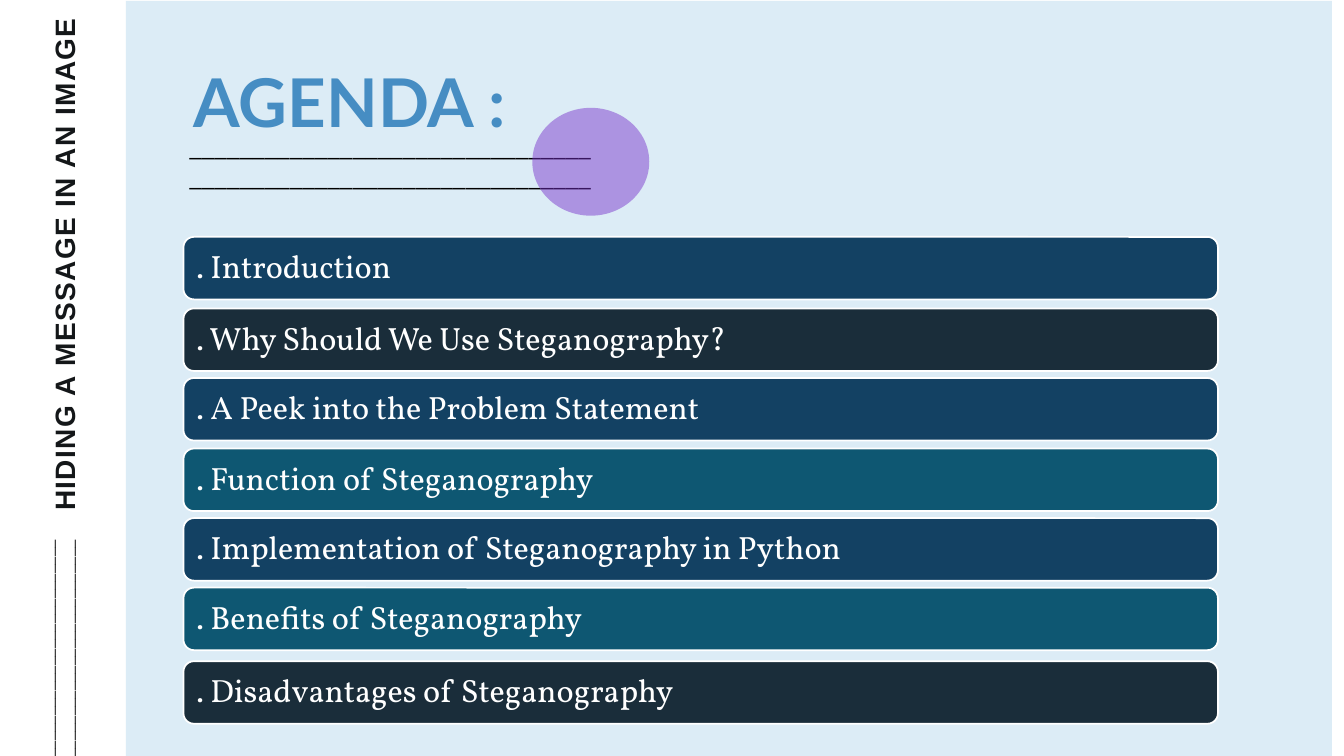
from lxml import etree
from pptx import Presentation
from pptx.dml.color import RGBColor
from pptx.enum.shapes import MSO_SHAPE as Shape
from pptx.enum.text import MSO_ANCHOR as Anchor, PP_ALIGN as Align
from pptx.oxml.ns import qn
from pptx.util import Inches, Pt

COLORS = {
    "panel": "DCECF6", "title": "468DC3", "side": "141719", "black": "000000",
    "circle": "7730CA", "white": "FFFFFF",
    "blue": "134163", "dark": "1A2D3A", "teal": "0E5772",
}
TITLE = "AGENDA :"
SIDE_TITLE = "HIDING A MESSAGE IN AN IMAGE"
SIDE_RULES = ["_" * 26] * 2
TITLE_RULES = ["_" * 64]
AGENDA = [
    (". Introduction", "blue", 2.35),
    (". Why Should We Use Steganography?", "dark", 3.06),
    (". A Peek into the Problem Statement", "blue", 3.75),
    (". Function of Steganography", "teal", 4.45),
    (". Implementation of Steganography in Python", "blue", 5.14),
    (". Benefits of Steganography", "teal", 5.83),
    (". Disadvantages of Steganography", "dark", 6.56),
]


def rgb(name):
    return RGBColor.from_string(COLORS[name])


def write(sp, lines, color, size, name, bold=False, align=Align.LEFT,
          anchor=Anchor.TOP, inset=(0.1, 0.05)):
    tf = sp.text_frame
    dx, dy = (Inches(v) for v in inset)
    frame = {"word_wrap": True, "vertical_anchor": anchor, "margin_left": dx,
             "margin_right": dx, "margin_top": dy, "margin_bottom": dy}
    for key, value in frame.items():
        setattr(tf, key, value)
    tf.text = "\n".join(lines)
    font = {"size": Pt(size), "name": name, "bold": bold}
    for p in tf.paragraphs:
        p.alignment = align
        for r in p.runs:
            for key, value in font.items():
                setattr(r.font, key, value)
            r.font.color.rgb = rgb(color)
    return tf


def add_shape(s, kind, box, fill):
    sp = s.shapes.add_shape(kind, *map(Inches, box))
    sp.shadow.inherit = False
    sp.fill.solid()
    sp.fill.fore_color.rgb = rgb(fill)
    sp.line.fill.background()
    return sp


def add_text(s, box, rotation=0, **style):
    sp = s.shapes.add_textbox(*map(Inches, box))
    sp.rotation = rotation
    return write(sp, **style)


def main():
    prs = Presentation()
    prs.slide_width, prs.slide_height = Inches(13.33), Inches(7.5)
    s = prs.slides.add_slide(prs.slide_layouts[5])

    panel = add_shape(s, Shape.RECTANGLE, (1.25, 0.01, 11.96, 7.49), "panel")
    title = s.shapes.title
    title.left, title.top, title.width, title.height = map(
        Inches, (1.92, 0.6, 3.62, 0.81))
    title._element.addprevious(panel._element)
    write(title, [TITLE], "title", 48, "Lato", bold=True, inset=(0, 0))

    tf = add_text(s, (-2.47, 2.06, 6.21, 1.13), 270, lines=[SIDE_TITLE],
                  color="side", size=20, name="Arial", bold=True,
                  align=Align.CENTER, anchor=Anchor.MIDDLE)
    tf.paragraphs[0].runs[0].font._element.set("spc", "100")
    add_text(s, (-2.54, 4.26, 6.21, 0.5), 270, lines=SIDE_RULES,
             color="black", size=12, name="Calibri")
    add_text(s, (1.78, 1.25, 4.27, 0.71), lines=TITLE_RULES,
             color="black", size=18, name="Calibri")

    circle = add_shape(s, Shape.OVAL, (5.28, 1.07, 1.16, 1.07), "circle")
    tint = circle._element.spPr.find(qn("a:solidFill"))[0]
    etree.SubElement(tint, qn("a:alpha")).set("val", "47000")

    for text, fill, top in AGENDA:
        bar = add_shape(s, Shape.ROUNDED_RECTANGLE, (1.82, top, 10.26, 0.62), fill)
        bar.line.color.rgb = rgb("white")
        bar.line.width = Pt(1.25)
        tf = write(bar, [text], "white", 23, "Vollkorn",
                   anchor=Anchor.MIDDLE, inset=(0.1, 0.1))
        tf.paragraphs[0].line_spacing = 0.9

    prs.save("out.pptx")


if __name__ == "__main__":
    main()
